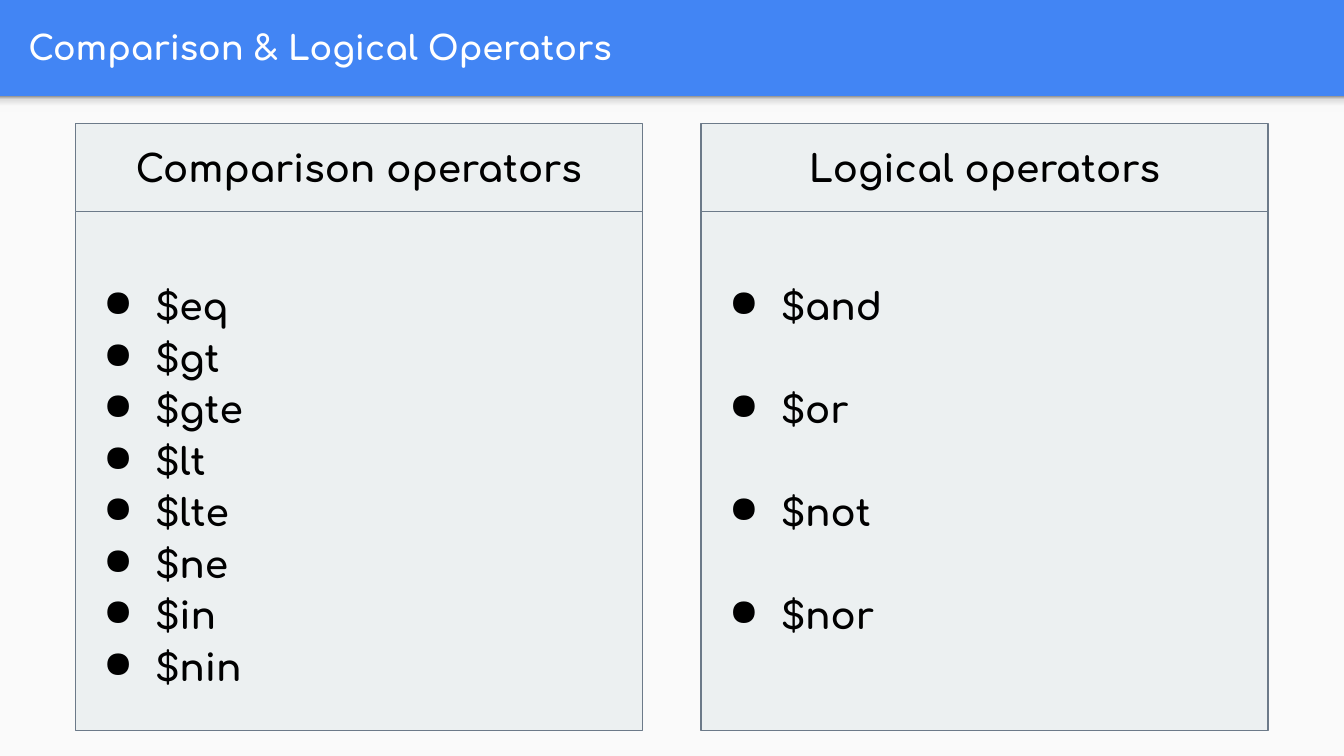
from copy import deepcopy

from lxml import etree
from pptx import Presentation
from pptx.dml.color import RGBColor
from pptx.enum import shapes, text
from pptx.oxml import ns
from pptx.util import Pt

TITLE = "Comparison & Logical Operators"
PANELS = [
    ("Comparison operators",
     ["$eq", "$gt", "$gte", "$lt", "$lte", "$ne", "$in", "$nin"], 0),
    ("Logical operators", ["$and", "$or", "$not", "$nor"], 1),
]

FONT = "Comfortaa"
BLUE = RGBColor(0x42, 0x85, 0xF4)
PAPER = RGBColor(0xFA, 0xFA, 0xFA)
PANEL = RGBColor(0xEC, 0xF0, 0xF1)
BORDER = RGBColor(0x6C, 0x7A, 0x89)
WHITE = RGBColor(0xFF, 0xFF, 0xFF)
BLACK = RGBColor(0, 0, 0)
SHADOW_STOPS = [
    (0, RGBColor(0xF9, 0xF9, 0xF9)),
    (0.36, RGBColor(0xF9, 0xF9, 0xF9)),
    (0.8, RGBColor(0xDE, 0xDE, 0xDE)),
    (1, RGBColor(0x99, 0x99, 0x99)),
]

WIDTH, HEIGHT = 720, 405
BAR_HEIGHT = 51.6
PANEL_LEFT, PANEL_TOP, PANEL_WIDTH, PANEL_GAP = 40.3, 66.2, 303.9, 31.3
HEADER_HEIGHT, LIST_HEIGHT = 47.3, 277.9
INSET = 7.2
LINE_PITCH = 27.55


def add_box(page, left, top, width, height, color, border=None):
    box = page.shapes.add_shape(shapes.MSO_SHAPE.RECTANGLE,
                                Pt(left), Pt(top), Pt(width), Pt(height))
    box.shadow.inherit = False
    box.fill.solid()
    box.fill.fore_color.rgb = color
    if border is None:
        box.line.fill.background()
    else:
        box.line.color.rgb = border
        box.line.width = Pt(0.75)
    return box


def add_shadow(page):
    box = add_box(page, 0, BAR_HEIGHT, WIDTH, 8.6, PAPER)
    box.fill.gradient()
    box.fill.gradient_angle = 90
    stop_list = box._element.spPr.find(".//" + ns.qn("a:gsLst"))
    for stop in list(stop_list):
        stop_list.append(deepcopy(stop))
    for stop, (position, color) in zip(box.fill.gradient_stops, SHADOW_STOPS):
        stop.position = position
        stop.color.rgb = color


def write(box, lines, size, color, align, anchor):
    frame = box.text_frame
    frame.word_wrap = True
    frame.vertical_anchor = anchor
    frame.margin_left = frame.margin_right = Pt(INSET)
    frame.margin_top = frame.margin_bottom = Pt(INSET)
    frame.text = "\n".join(lines)
    for para in frame.paragraphs:
        para.alignment = align
        for span in para.runs:
            span.font.name = FONT
            span.font.size = Pt(size)
            span.font.bold = True
            span.font.color.rgb = color
    return frame


def add_bullet(para):
    properties = para._p.get_or_add_pPr()
    properties.set("marL", str(Pt(36)))
    properties.set("indent", str(Pt(-28)))
    etree.SubElement(properties, ns.qn("a:buChar")).set("char", "●")


def add_panel(page, left, heading, items, blank_lines):
    list_box = add_box(page, left, PANEL_TOP + HEADER_HEIGHT, PANEL_WIDTH,
                       LIST_HEIGHT, PANEL, BORDER)
    frame = write(list_box, items, 20, BLACK,
                  text.PP_ALIGN.LEFT, text.MSO_ANCHOR.TOP)
    frame.margin_top = Pt(INSET + LINE_PITCH)
    for index, para in enumerate(frame.paragraphs):
        para.line_spacing = 1.15
        para.space_before = Pt(blank_lines * LINE_PITCH if index else 0)
        add_bullet(para)
    header = add_box(page, left, PANEL_TOP, PANEL_WIDTH, HEADER_HEIGHT,
                     PANEL, BORDER)
    write(header, [heading], 20, BLACK,
          text.PP_ALIGN.CENTER, text.MSO_ANCHOR.MIDDLE)


def main():
    deck = Presentation()
    deck.slide_width, deck.slide_height = Pt(WIDTH), Pt(HEIGHT)
    page = deck.slides.add_slide(deck.slide_layouts[5])
    page.background.fill.solid()
    page.background.fill.fore_color.rgb = BLUE

    add_box(page, 0, BAR_HEIGHT, WIDTH, HEIGHT - BAR_HEIGHT, PAPER)
    add_shadow(page)

    title = page.shapes.title
    title.left, title.top = Pt(8), Pt(1.7)
    title.width, title.height = Pt(695), Pt(47.3)
    write(title, [TITLE], 18, WHITE,
          text.PP_ALIGN.LEFT, text.MSO_ANCHOR.MIDDLE)

    for column, panel in enumerate(PANELS):
        add_panel(page, PANEL_LEFT + column * (PANEL_WIDTH + PANEL_GAP), *panel)

    deck.save("out.pptx")


if __name__ == "__main__":
    main()
